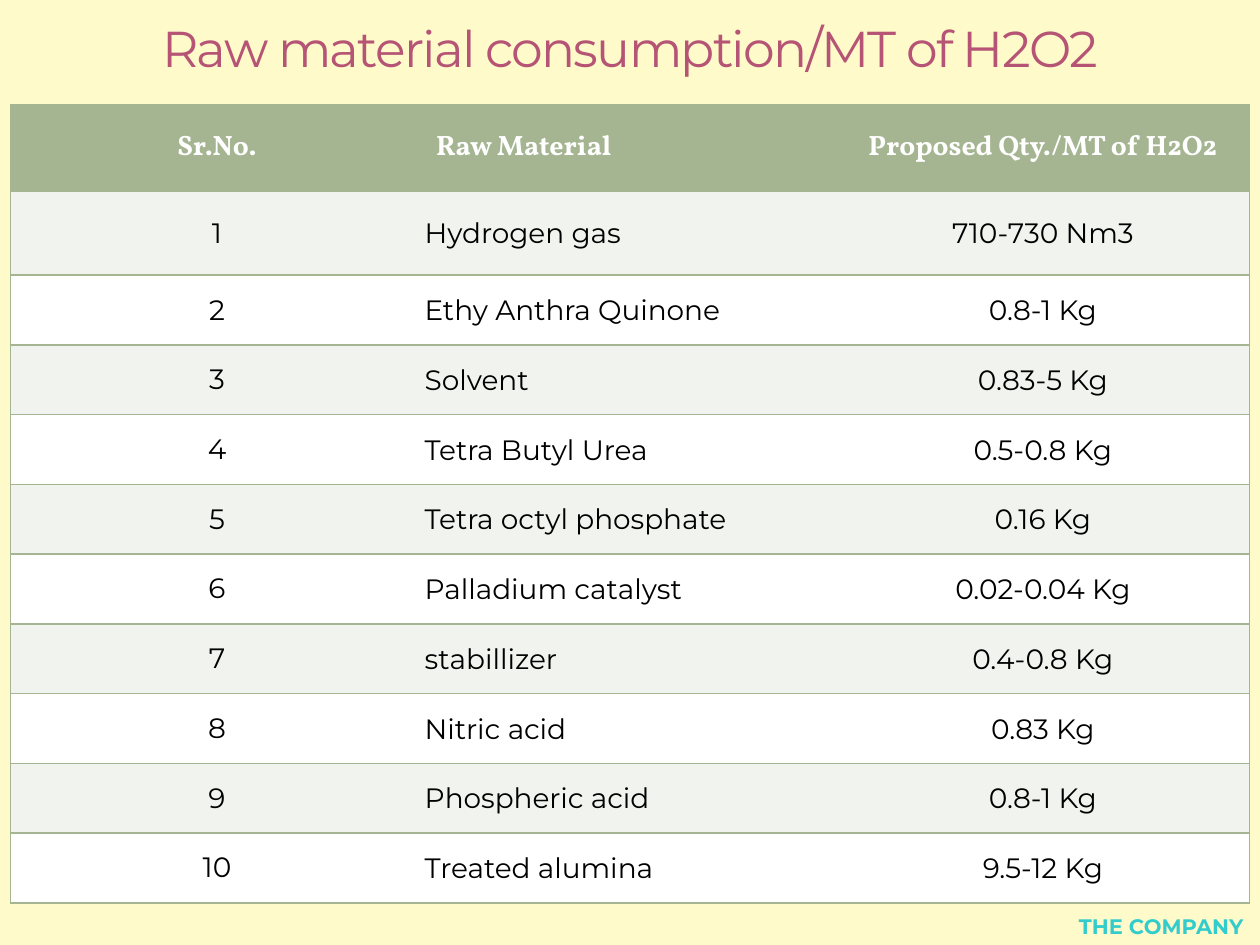
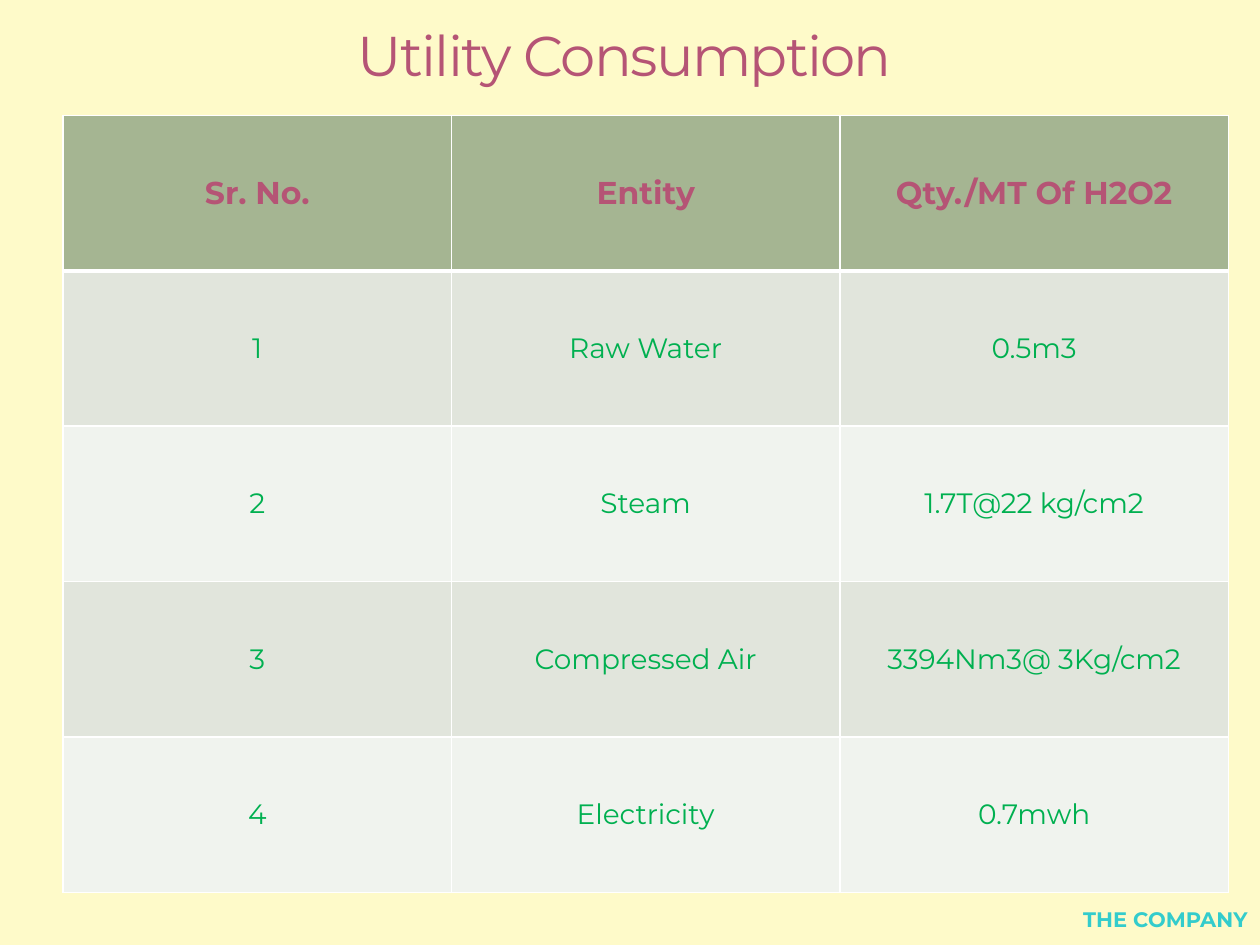
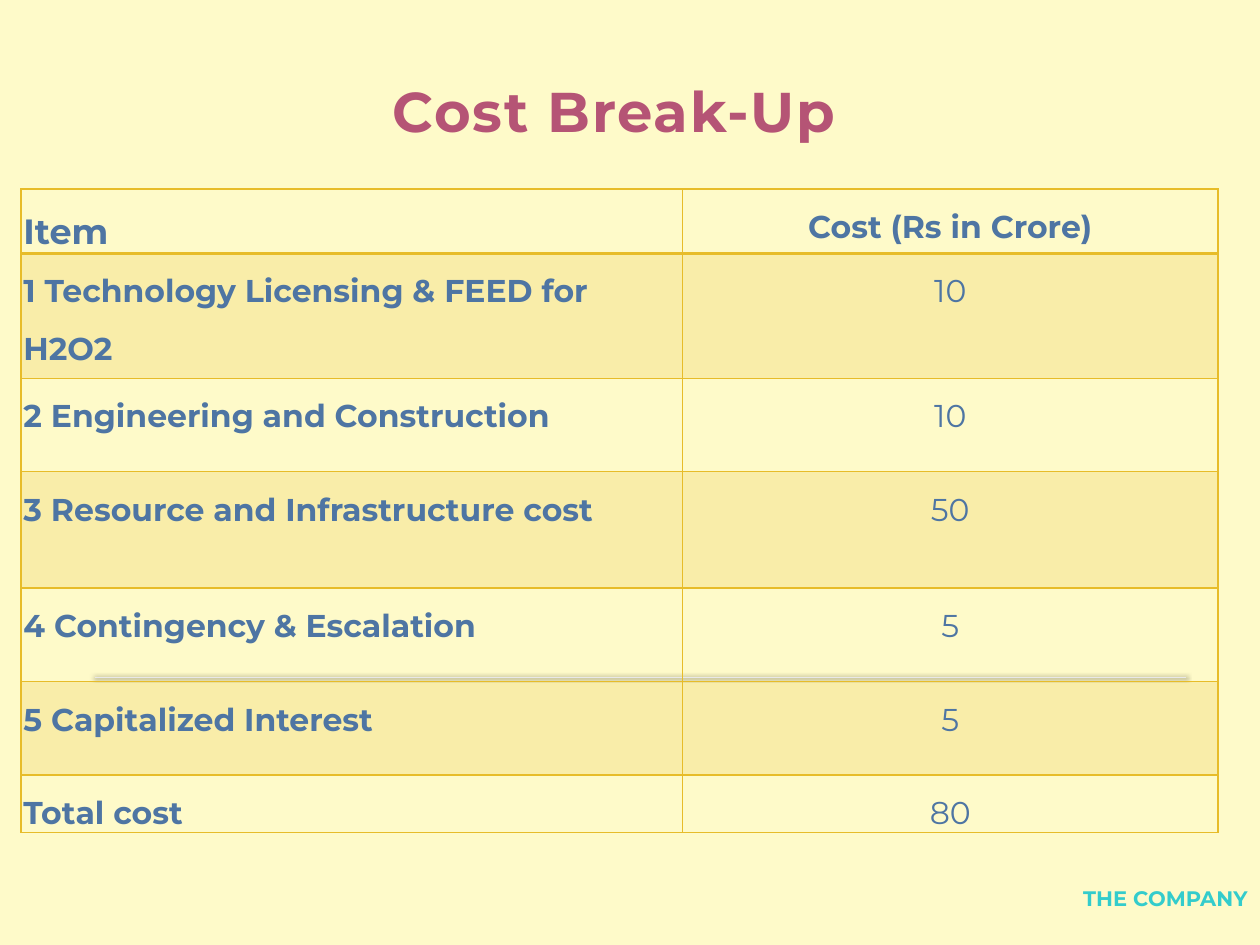
from dataclasses import dataclass

from lxml.etree import SubElement
from pptx import Presentation
from pptx.dml.color import RGBColor
from pptx.enum.shapes import MSO_CONNECTOR
from pptx.enum.text import MSO_ANCHOR, MSO_AUTO_SIZE, PP_ALIGN
from pptx.oxml.ns import qn
from pptx.util import Inches, Pt


# Theme: colours, fonts and type sizes
@dataclass(frozen=True)
class Theme:
    background: str = "FEFAC9"
    rule: str = "E9E9E8"
    title: str = "B55475"
    footer: str = "33CCCC"
    sage: str = "A5B592"
    sage_mid: str = "E1E5DC"
    sage_light: str = "F0F3EE"
    white: str = "FFFFFF"
    black: str = "000000"
    green: str = "00B050"
    blue: str = "4E75A3"
    gold: str = "E7BC29"
    font: str = "Montserrat"
    header_font: str = "Vollkorn"
    title_size: float = 32
    long_title_size: float = 28.8
    item_size: float = 20
    large_size: float = 18
    body_size: float = 16
    footer_size: float = 12


theme = Theme()
LEFT, CENTER = PP_ALIGN.LEFT, PP_ALIGN.CENTER
TOP, MIDDLE, BOTTOM = MSO_ANCHOR.TOP, MSO_ANCHOR.MIDDLE, MSO_ANCHOR.BOTTOM
FOOTER_TEXT = "THE COMPANY"
NO_GRID_STYLE = "{2D5ABB26-0587-4C30-8999-92F81FD0307C}"

presentation = Presentation()
presentation.slide_width, presentation.slide_height = Inches(10), Inches(7.5)
unit = presentation.slide_width // 120  # grid of 120 columns by 90 rows


def write_text(frame, text, alignment, color, line_spacing=None, spacing=0, **font_values):
    paragraph = frame.paragraphs[0]
    paragraph.alignment = alignment
    paragraph.line_spacing = line_spacing
    run = paragraph.add_run()
    run.text = text
    for name, value in font_values.items():
        setattr(run.font, name, value)
    run.font.color.rgb = RGBColor.from_string(color)
    if spacing:
        run.font._element.set("spc", str(spacing * 100))


def add_border(cell, side, color, width):
    line = SubElement(cell._tc.get_or_add_tcPr(), qn(f"a:ln{side}"), w=str(Pt(width)))
    SubElement(SubElement(line, qn("a:solidFill")), qn("a:srgbClr"), val=color)


# Content: boxes are left, top, width and height in grid units
header_sage = dict(size=Pt(theme.body_size), name=theme.header_font, bold=True, color=theme.white)
body_black = dict(size=Pt(theme.body_size), name=theme.font, bold=False, color=theme.black)
header_rose = dict(size=Pt(theme.large_size), name=theme.font, bold=True, color=theme.title)
body_green = dict(body_black, color=theme.green)
cost_label = dict(size=Pt(theme.large_size), name=theme.font, bold=True, color=theme.blue,
                  line_spacing=1.5)
cost_value = dict(cost_label, bold=False)
item_header = dict(cost_label, size=Pt(theme.item_size))
tight_insets, cost_insets = (0.01, 0.01, 0.01, 0), (0.02, 0, 0.02, 0)

pages = [
    dict(
        title="Raw material consumption/MT of H2O2",
        title_box=(0, 1, 120, 7), title_anchor=MIDDLE,
        title_format=dict(size=Pt(theme.long_title_size), bold=False, spacing=-1),
        table_box=(1, 10, 118, 76), columns=[118 / 3] * 3,
        row_heights=[8.2, 8] + [(76 - 16.2) / 9] * 9,
        rows=[
            ("Sr.No.", "Raw Material", "Proposed Qty./MT of H2O2"),
            ("1", "Hydrogen gas", "710-730 Nm3"),
            ("2", "Ethy Anthra Quinone", "0.8-1 Kg"),
            ("3", "Solvent", "0.83-5 Kg"),
            ("4", "Tetra Butyl Urea", "0.5-0.8 Kg"),
            ("5", "Tetra octyl phosphate", "0.16 Kg"),
            ("6", "Palladium catalyst", "0.02-0.04 Kg"),
            ("7", "stabillizer", "0.4-0.8 Kg"),
            ("8", "Nitric acid", "0.83 Kg"),
            ("9", "Phospheric acid", "0.8-1 Kg"),
            ("10", "Treated alumina", "9.5-12 Kg"),
        ],
        header_formats=[header_sage] * 3, body_formats=[body_black] * 3,
        alignments=[CENTER, LEFT, CENTER], anchor=MIDDLE,
        header_insets=[None] * 3, body_insets=[None, tight_insets, tight_insets],
        header_fill=theme.sage, bands=(theme.sage_light, theme.white), opacity=100,
        border=theme.sage, inner_verticals=False, header_rule=1,
        footer_box=(72.6, 85, 47, 5), footer_anchor=BOTTOM,
    ),
    dict(
        title="Utility Consumption",
        title_box=(4, 0, 111, 9), title_anchor=BOTTOM,
        title_format=dict(size=Pt(theme.title_size), bold=False, spacing=-1),
        table_box=(6, 11, 111, 74), columns=[111 / 3] * 3, row_heights=[74 / 5] * 5,
        rows=[
            ("Sr. No.", "Entity", "Qty./MT Of H2O2"),
            ("1", "Raw Water", "0.5m3"),
            ("2", "Steam", "1.7T@22 kg/cm2"),
            ("3", "Compressed Air", "3394Nm3@ 3Kg/cm2"),
            ("4", "Electricity", "0.7mwh"),
        ],
        header_formats=[header_rose] * 3, body_formats=[body_green] * 3,
        alignments=[CENTER] * 3, anchor=MIDDLE,
        header_insets=[None] * 3, body_insets=[None] * 3,
        header_fill=theme.sage, bands=(theme.sage_mid, theme.sage_light), opacity=100,
        border=theme.white, inner_verticals=True, header_rule=3,
        footer_box=(73, 85, 47, 5), footer_anchor=MIDDLE,
    ),
    dict(
        title="Cost Break-Up",
        title_box=(8, 6.6, 101, 7.7), title_anchor=MIDDLE,
        title_format=dict(size=Pt(theme.title_size), bold=True, spacing=1),
        table_box=(2, 18, 114, 61.2), columns=[63, 51],
        row_heights=[5.9, 11.9, 8.9, 11.1, 8.9, 8.9, 5.3],
        rows=[
            ("Item", "Cost (Rs in Crore)"),
            ("1 Technology Licensing & FEED for H2O2", "10"),
            ("2 Engineering and Construction", "10"),
            ("3 Resource and Infrastructure cost", "50"),
            ("4 Contingency & Escalation", "5"),
            ("5 Capitalized Interest", "5"),
            ("Total cost", "80"),
        ],
        header_formats=[item_header, cost_label], body_formats=[cost_label, cost_value],
        alignments=[LEFT, CENTER], anchor=TOP,
        header_insets=[cost_insets] * 2, body_insets=[cost_insets] * 2,
        header_fill=None, bands=(theme.gold, None), opacity=20,
        border=theme.gold, inner_verticals=True, header_rule=2,
        footer_box=(97, 83, 23, 5), footer_anchor=MIDDLE,
    ),
]

# Master: background
master = presentation.slide_master
master.background.fill.solid()
master.background.fill.fore_color.rgb = RGBColor.from_string(theme.background)

for page in pages:
    slide = presentation.slides.add_slide(presentation.slide_layouts[5])

    # Title
    title = slide.shapes.title
    title.left, title.top, title.width, title.height = [int(unit * n) for n in page["title_box"]]
    title.text_frame.auto_size = MSO_AUTO_SIZE.NONE
    title.text_frame.vertical_anchor = page["title_anchor"]
    write_text(title.text_frame, page["title"], CENTER, theme.title,
               name=theme.font, **page["title_format"])

    # Table
    rows, columns = page["rows"], page["columns"]
    table = slide.shapes.add_table(
        len(rows), len(columns), *[int(unit * n) for n in page["table_box"]]).table
    table.first_row = table.horz_banding = False
    table._tbl.tblPr.find(qn("a:tableStyleId")).text = NO_GRID_STYLE
    for column, width in zip(table.columns, columns):
        column.width = int(unit * width)
    for row, height in zip(table.rows, page["row_heights"]):
        row.height = int(unit * height)

    for row_index, texts in enumerate(rows):
        part = "header" if row_index == 0 else "body"
        fill = page["bands"][(row_index - 1) % 2] if row_index else page["header_fill"]
        for column_index, text in enumerate(texts):
            cell = table.cell(row_index, column_index)
            cell.vertical_anchor = page["anchor"]
            insets = page[f"{part}_insets"][column_index]
            if insets:
                for side, inset in zip(("left", "top", "right", "bottom"), insets):
                    setattr(cell, f"margin_{side}", Inches(inset))
            write_text(cell.text_frame, text, page["alignments"][column_index],
                       **page[f"{part}_formats"][column_index])

            # Borders precede the fill in the cell properties
            if page["inner_verticals"] or column_index == 0:
                add_border(cell, "L", page["border"], 1)
            if page["inner_verticals"] or column_index == len(columns) - 1:
                add_border(cell, "R", page["border"], 1)
            add_border(cell, "T", page["border"], page["header_rule"] if row_index == 1 else 1)
            add_border(cell, "B", page["border"], page["header_rule"] if row_index == 0 else 1)

            if fill is None:
                cell.fill.background()
                continue
            cell.fill.solid()
            cell.fill.fore_color.rgb = RGBColor.from_string(fill)
            if page["opacity"] < 100:
                color = cell._tc.tcPr.find(qn("a:solidFill")).find(qn("a:srgbClr"))
                SubElement(color, qn("a:alpha"), val=str(page["opacity"] * 1000))

    # Footer
    footer = slide.shapes.add_textbox(*[int(unit * n) for n in page["footer_box"]])
    footer.text_frame.word_wrap = True
    footer.text_frame.vertical_anchor = page["footer_anchor"]
    write_text(footer.text_frame, FOOTER_TEXT, PP_ALIGN.RIGHT, theme.footer,
               name=theme.font, size=Pt(theme.footer_size), bold=True)

# Master: shadowed rule behind every slide, drawn once and moved to the master
rule_top = int(unit * 64.5)
rule = slide.shapes.add_connector(
    MSO_CONNECTOR.STRAIGHT, unit * 9, rule_top, unit * 113, rule_top)
rule.line.color.rgb = RGBColor.from_string(theme.rule)
rule.line.width = Pt(0.75)
effects = SubElement(rule._element.spPr, qn("a:effectLst"))
shadow = SubElement(effects, qn("a:outerShdw"), blurRad=str(Pt(2.5)), dist="0", dir="2700000")
shadow_color = SubElement(shadow, qn("a:srgbClr"), val=theme.black)
SubElement(shadow_color, qn("a:alpha"), val="55000")
master.shapes.element.append(rule._element)

presentation.save("out.pptx")
